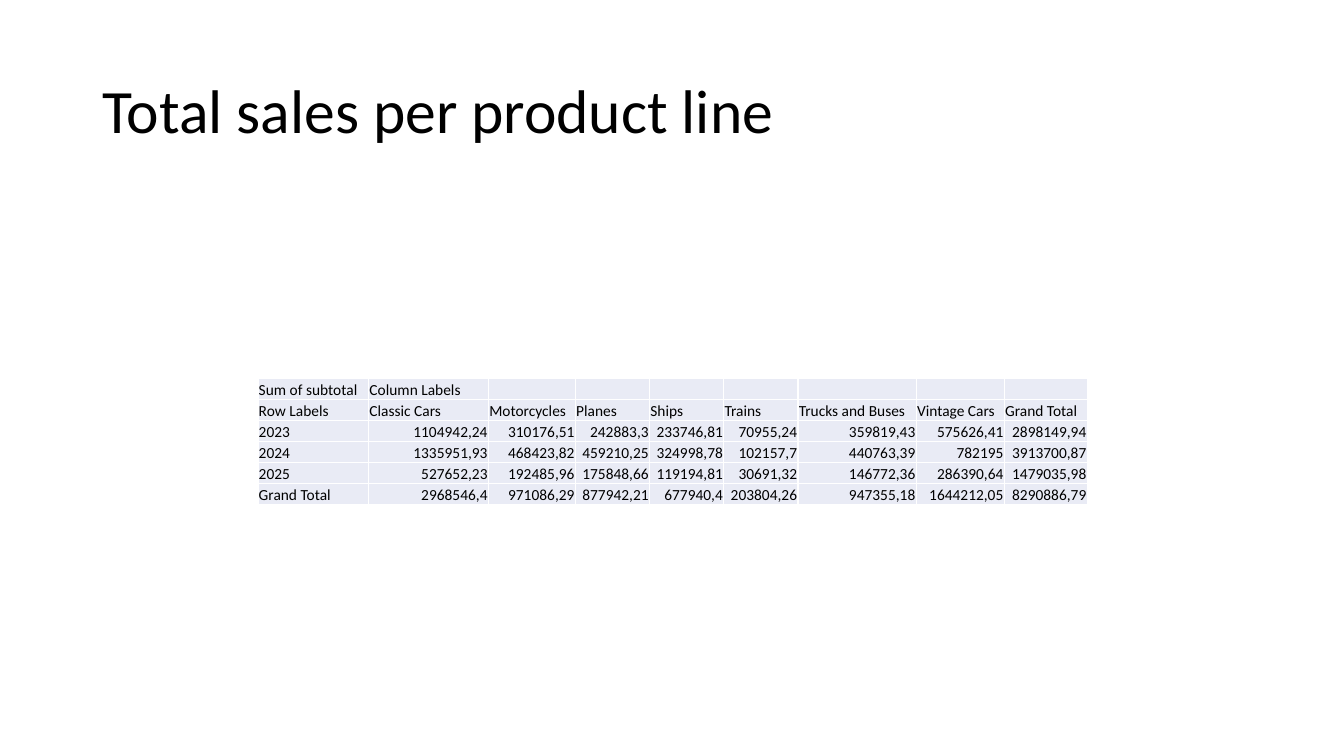
"""Build a slide with a pivot table of total sales per product line."""
import pptx
import pptx.dml.color
import pptx.enum.text
import pptx.util
from lxml import etree
from pptx.oxml.ns import qn

Cm, Pt = pptx.util.Cm, pptx.util.Pt
PP_ALIGN, MSO_ANCHOR = pptx.enum.text.PP_ALIGN, pptx.enum.text.MSO_ANCHOR

TITLE = "Total sales per product line"
ROWS = [
    ("Sum of subtotal", "Column Labels", "", "", "", "", "", "", ""),
    ("Row Labels", "Classic Cars", "Motorcycles", "Planes", "Ships", "Trains",
     "Trucks and Buses", "Vintage Cars", "Grand Total"),
    ("2023", "1104942,24", "310176,51", "242883,3", "233746,81", "70955,24",
     "359819,43", "575626,41", "2898149,94"),
    ("2024", "1335951,93", "468423,82", "459210,25", "324998,78", "102157,7",
     "440763,39", "782195", "3913700,87"),
    ("2025", "527652,23", "192485,96", "175848,66", "119194,81", "30691,32",
     "146772,36", "286390,64", "1479035,98"),
    ("Grand Total", "2968546,4", "971086,29", "877942,21", "677940,4", "203804,26",
     "947355,18", "1644212,05", "8290886,79"),
]
HEADER_ROWS = 2
COL_WIDTHS = [2.79, 3.02, 2.19, 1.87, 1.87, 1.87, 2.98, 2.22, 2.09]
ROW_HEIGHT = 0.53
FONT, TEXT, CELL_FILL = "Calibri", "000000", "E9EBF5"
TITLE_SIZE, CELL_SIZE = 44, 11


def set_color(color_format, color):
    color_format.rgb = pptx.dml.color.RGBColor.from_string(color)


def set_font(p, size):
    p.font.name, p.font.size = FONT, Pt(size)
    set_color(p.font.color, TEXT)


def add_title(slide):
    sp = slide.shapes.add_textbox(Cm(2.33), Cm(1.01), Cm(29.21), Cm(3.68))
    tf = sp.text_frame
    tf.word_wrap = True
    tf.vertical_anchor = MSO_ANCHOR.MIDDLE
    p = tf.paragraphs[0]
    p.text = TITLE
    p.line_spacing = 0.9
    set_font(p, TITLE_SIZE)


def fill_cell(cell, text, is_number):
    cell.fill.solid()
    set_color(cell.fill.fore_color, CELL_FILL)
    cell.margin_left = cell.margin_right = cell.margin_top = Cm(0.02)
    cell.margin_bottom = 0
    cell.vertical_anchor = MSO_ANCHOR.BOTTOM
    p = cell.text_frame.paragraphs[0]
    set_font(p, CELL_SIZE)
    if is_number:
        p.alignment = PP_ALIGN.RIGHT
    if text:
        p.text = text
    else:
        etree.SubElement(p._p, qn("a:endParaRPr"), sz=str(CELL_SIZE * 100))


def add_sales_table(slide):
    table = slide.shapes.add_table(
        len(ROWS), len(COL_WIDTHS), Cm(6.5), Cm(9.53),
        Cm(sum(COL_WIDTHS)), Cm(ROW_HEIGHT * len(ROWS))).table
    table.first_row = table.horz_banding = False
    for column, width in zip(table.columns, COL_WIDTHS):
        column.width = Cm(width)
    for r, values in enumerate(ROWS):
        table.rows[r].height = Cm(ROW_HEIGHT)
        for c, text in enumerate(values):
            fill_cell(table.cell(r, c), text, r >= HEADER_ROWS and c > 0)


def main():
    prs = pptx.Presentation()
    prs.slide_width, prs.slide_height = Cm(33.87), Cm(19.05)
    slide = prs.slides.add_slide(prs.slide_layouts[6])
    add_title(slide)
    add_sales_table(slide)
    prs.save("out.pptx")


if __name__ == "__main__":
    main()
